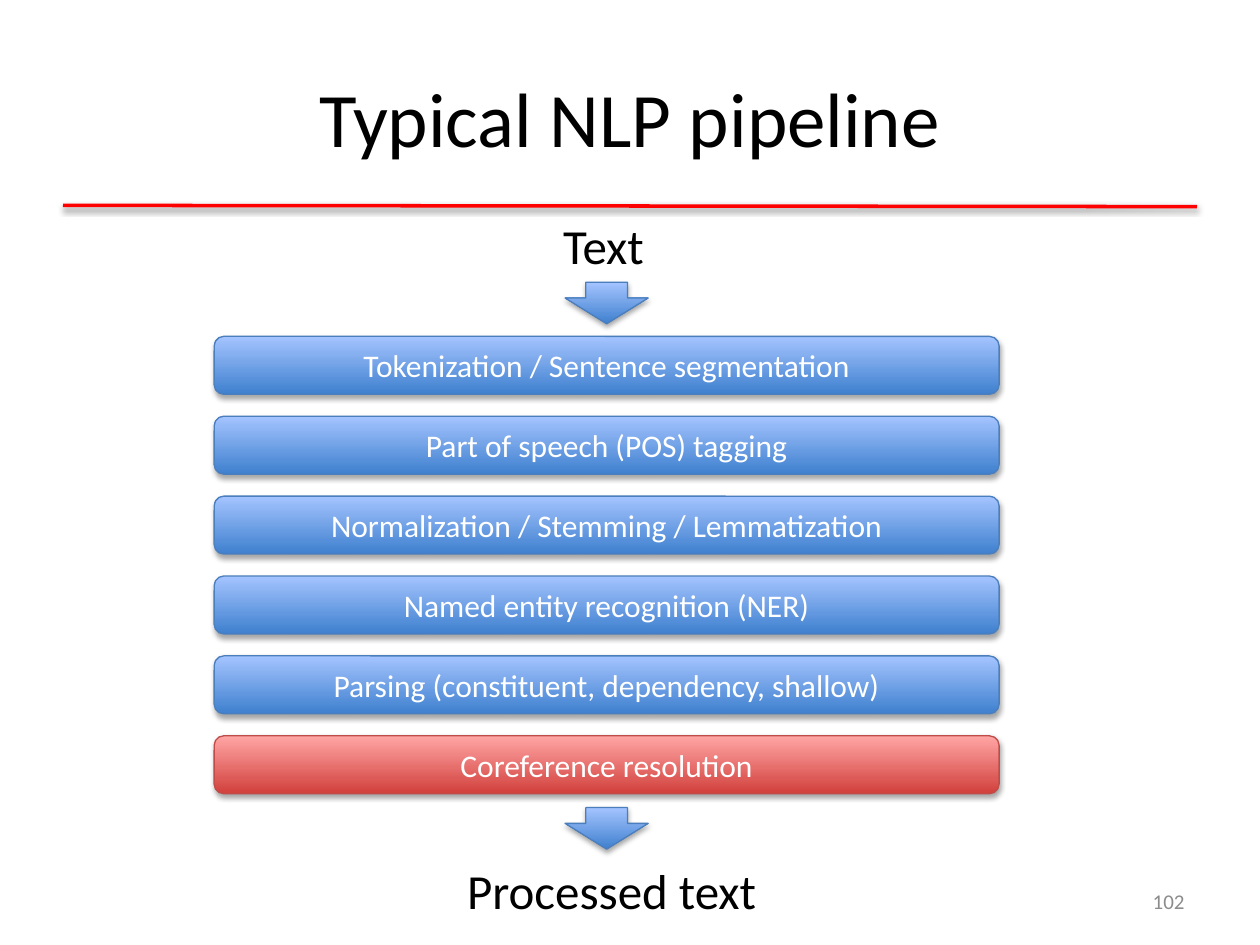
"""Build the slide on a typical NLP pipeline."""
from lxml import etree
from pptx import Presentation
from pptx.dml.color import RGBColor
from pptx.enum.shapes import MSO_CONNECTOR, MSO_SHAPE
from pptx.enum.text import MSO_ANCHOR, PP_ALIGN
from pptx.util import Inches, Pt

LINE = MSO_CONNECTOR.STRAIGHT
BOX, ARROW = MSO_SHAPE.ROUNDED_RECTANGLE, MSO_SHAPE.DOWN_ARROW
MID, TOP = MSO_ANCHOR.MIDDLE, MSO_ANCHOR.TOP
LEFT, MIDDLE, RIGHT = PP_ALIGN.LEFT, PP_ALIGN.CENTER, PP_ALIGN.RIGHT
NS = "http://schemas.openxmlformats.org/drawingml/2006/main"

WIDE, HIGH = 10, 7.5
TITLE = "Typical NLP pipeline"
BLUE = ("3F80CE", "A4C4FF", "4B7EBC")
RED = ("D1403C", "FFA6A5", "BF4C48")
STEPS = [
    ("Tokenization / Sentence segmentation", BLUE),
    ("Part of speech (POS) tagging", BLUE),
    ("Normalization / Stemming / Lemmatization", BLUE),
    ("Named entity recognition (NER)", BLUE),
    ("Parsing (constituent, dependency, shallow)", BLUE),
    ("Coreference resolution", RED),
]
LABELS = [
    ("Text", (4.37, 1.66, 0.89, 0.57), 28, "000000", LEFT, TOP, False),
    ("Processed text", (3.61, 6.78, 2.54, 0.57), 28, "000000", LEFT, TOP, False),
    ("102", (7.17, 6.95, 2.33, 0.4), 12, "8C8C8C", RIGHT, MID, True),
]
ARROWS = [2.24, 6.41]
STEP_X, STEP_Y, STEP_W, STEP_H, PITCH = 1.7, 2.67, 6.23, 0.46, 0.634
ARROW_W, ARROW_H = 0.66, 0.33


def color(code):
    return RGBColor.from_string(code)


def place(*sizes):
    return [Inches(size) for size in sizes]


def write(shape, text, size, code, align, anchor, wrap=True):
    frame = shape.text_frame
    frame.text = text
    frame.word_wrap = wrap
    frame.vertical_anchor = anchor
    para = frame.paragraphs[0]
    para.alignment = align
    para.font.name = "Calibri"
    para.font.size = Pt(size)
    para.font.color.rgb = color(code)


def shade(shape, dist, alpha):
    shape._element.spPr.append(etree.fromstring(
        f'<a:effectLst xmlns:a="{NS}"><a:outerShdw blurRad="{Pt(3.1)}" '
        f'dist="{Pt(dist)}" dir="5400000" rotWithShape="0">'
        f'<a:srgbClr val="000000"><a:alpha val="{alpha * 1000}"/></a:srgbClr>'
        '</a:outerShdw></a:effectLst>'))


def block(slide, kind, spot, tones):
    shape = slide.shapes.add_shape(kind, *place(*spot))
    shape.fill.gradient()
    shape.fill.gradient_angle = 90
    for stop, code in zip(shape.fill.gradient_stops, tones):
        stop.color.rgb = color(code)
    shape.line.color.rgb = color(tones[2])
    shape.line.width = Pt(0.75)
    shade(shape, 1.8, 35)
    return shape


def main():
    deck = Presentation()
    deck.slide_width, deck.slide_height = place(WIDE, HIGH)
    slide = deck.slides.add_slide(deck.slide_layouts[5])

    title = slide.shapes.title
    title.left, title.top, title.width, title.height = place(0.5, 0.3, 9, 1.25)
    write(title, TITLE, 44, "000000", MIDDLE, MID)

    rule = slide.shapes.add_connector(LINE, *place(0.5, 1.63, 9.5, 1.64))
    rule.line.color.rgb = color("FF0000")
    rule.line.width = Pt(2)
    shade(rule, 1.6, 38)

    for row, (text, tones) in enumerate(STEPS):
        spot = STEP_X, STEP_Y + row * PITCH, STEP_W, STEP_H
        step = block(slide, BOX, spot, tones)
        write(step, text, 18, "FFFFFF", MIDDLE, MID)

    mid = STEP_X + STEP_W / 2
    for top in ARROWS:
        spot = mid - ARROW_W / 2, top, ARROW_W, ARROW_H
        arrow = block(slide, ARROW, spot, BLUE)
        arrow.adjustments[1] = 0.62

    for text, spot, *style in LABELS:
        write(slide.shapes.add_textbox(*place(*spot)), text, *style)

    deck.save("out.pptx")


if __name__ == "__main__":
    main()
